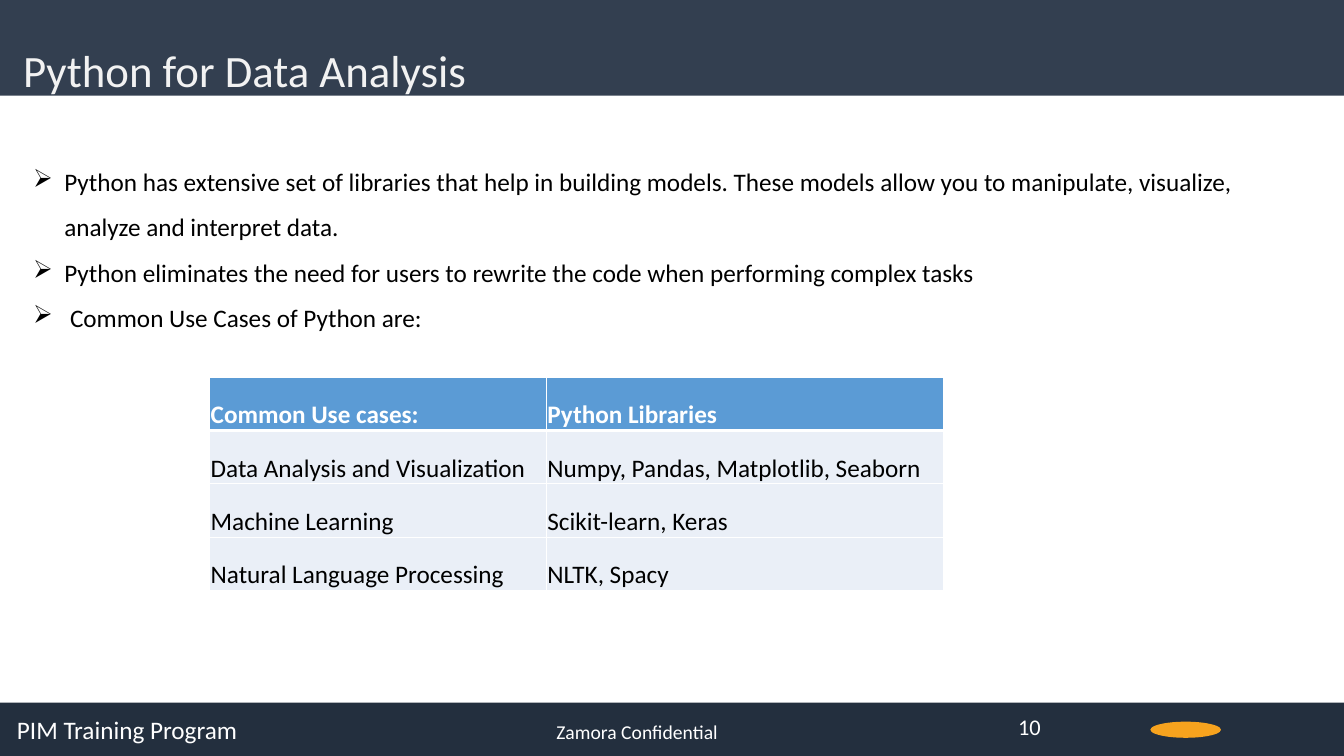
import pptx
import pptx.dml.color
import pptx.enum.shapes
import pptx.enum.text
import pptx.oxml
import pptx.oxml.ns
import pptx.util
from lxml import etree

WIDTH, HEIGHT = 13.33, 7.5
FONT = "Calibri"
WHITE, BLACK, HEADER_BLUE, ROW_BLUE = "FFFFFF", "000000", "5B9BD5", "EAEFF7"

TITLE = "Python for Data Analysis"
POINTS = [
    "Python has extensive set of libraries that help in building models. "
    "These models allow you to manipulate, visualize, analyze and interpret data.",
    "Python eliminates the need for users to rewrite the code when performing complex tasks",
    " Common Use Cases of Python are:",
]
USE_CASES = [
    ("Common Use cases:", "Python Libraries"),
    ("Data Analysis and Visualization", "Numpy, Pandas, Matplotlib, Seaborn"),
    ("Machine Learning", "Scikit-learn, Keras"),
    ("Natural Language Processing", "NLTK, Spacy"),
]
COLUMN_WIDTHS = (3.34, 3.94)
ROW_HEIGHT = 0.53
# text, left, top, width, size
FOOTER = [
    ("PIM Training Program", 0.07, 7.04, 4, 18),
    ("Zamora Confidential", 5.42, 7.09, 3, 14),
    ("10", 10, 7.03, 1, 16),
]
# shape, left, top, width, height, colour
BANDS = [
    ("RECTANGLE", 0, 6.97, WIDTH, 0.54, "232F3E"),
    ("RECTANGLE", 0, -0.06, WIDTH, 1.01, "333F50"),
    ("OVAL", 11.41, 7.16, 0.7, 0.16, "F7A31E"),
]


def color(hex_string):
    return pptx.dml.color.RGBColor.from_string(hex_string)


def inches(*lengths):
    return [pptx.util.Inches(length) for length in lengths]


def fill_solid(part, hex_string):
    part.fill.solid()
    part.fill.fore_color.rgb = color(hex_string)


def format_runs(paragraph, size, hex_string, bold=False):
    for run in paragraph.runs:
        run.font.name = FONT
        run.font.size = pptx.util.Pt(size)
        run.font.bold = bold
        run.font.color.rgb = color(hex_string)


def add_band(slide, kind, left, top, width, height, hex_string):
    preset = getattr(pptx.enum.shapes.MSO_SHAPE, kind)
    band = slide.shapes.add_shape(preset, *inches(left, top, width, height))
    band.shadow.inherit = False
    fill_solid(band, hex_string)
    band.line.fill.background()


def add_text(slide, lines, box, size, hex_string, spacing=1.0):
    frame = slide.shapes.add_textbox(*inches(*box)).text_frame
    frame.word_wrap = True
    frame.text = "\n".join(lines)
    for paragraph in frame.paragraphs:
        paragraph.line_spacing = spacing
        format_runs(paragraph, size, hex_string)
    return frame


def add_arrow_bullet(paragraph, indent):
    properties = paragraph._p.get_or_add_pPr()
    properties.set("marL", str(pptx.util.Inches(indent)))
    properties.set("indent", str(-pptx.util.Inches(indent)))
    bullet = etree.SubElement(properties, pptx.oxml.ns.qn("a:buChar"))
    bullet.set("char", "➢")


def set_borders(cell, bottom_width):
    """White lines on all four sides, placed before the cell's fill."""
    properties = cell._tc.get_or_add_tcPr()
    widths = {"L": 1, "R": 1, "T": 1, "B": bottom_width}
    for position, (side, width) in enumerate(widths.items()):
        line = pptx.oxml.parse_xml(
            f'<a:ln{side} {pptx.oxml.ns.nsdecls("a")} w="{pptx.util.Pt(width)}">'
            f'<a:solidFill><a:srgbClr val="{WHITE}"/></a:solidFill></a:ln{side}>'
        )
        properties.insert(position, line)


def add_use_cases(slide, left, top):
    box = inches(left, top, sum(COLUMN_WIDTHS), ROW_HEIGHT * len(USE_CASES))
    table = slide.shapes.add_table(len(USE_CASES), len(COLUMN_WIDTHS), *box).table
    for column, width in zip(table.columns, COLUMN_WIDTHS):
        column.width = pptx.util.Inches(width)
    for row, entries in enumerate(USE_CASES):
        header = row == 0
        table.rows[row].height = pptx.util.Inches(ROW_HEIGHT)
        for column, entry in enumerate(entries):
            cell = table.cell(row, column)
            cell.text_frame.text = entry
            format_runs(cell.text_frame.paragraphs[0], 18,
                        WHITE if header else BLACK, header)
            cell.vertical_anchor = pptx.enum.text.MSO_ANCHOR.BOTTOM
            cell.margin_left, cell.margin_right, cell.margin_top, cell.margin_bottom = (
                inches(0.01, 0.01, 0.01, 0))
            fill_solid(cell, HEADER_BLUE if header else ROW_BLUE)
            set_borders(cell, 3 if header else 1)


def main():
    deck = pptx.Presentation()
    deck.slide_width, deck.slide_height = inches(WIDTH, HEIGHT)
    slide = deck.slides.add_slide(deck.slide_layouts[6])
    for band in BANDS:
        add_band(slide, *band)
    for text, left, top, width, size in FOOTER:
        add_text(slide, [text], (left, top, width, 0.4), size, WHITE)
    add_text(slide, [TITLE], (0.13, 0.11, 8.89, 0.83), 32, "F2F2F2", 1.5)
    points = add_text(slide, POINTS, (0.23, 1.45, 12.39, 1.92), 18, BLACK, 1.5)
    for paragraph in points.paragraphs:
        add_arrow_bullet(paragraph, 0.31)
    add_use_cases(slide, 2.08, 3.74)
    deck.save("out.pptx")


if __name__ == "__main__":
    main()
